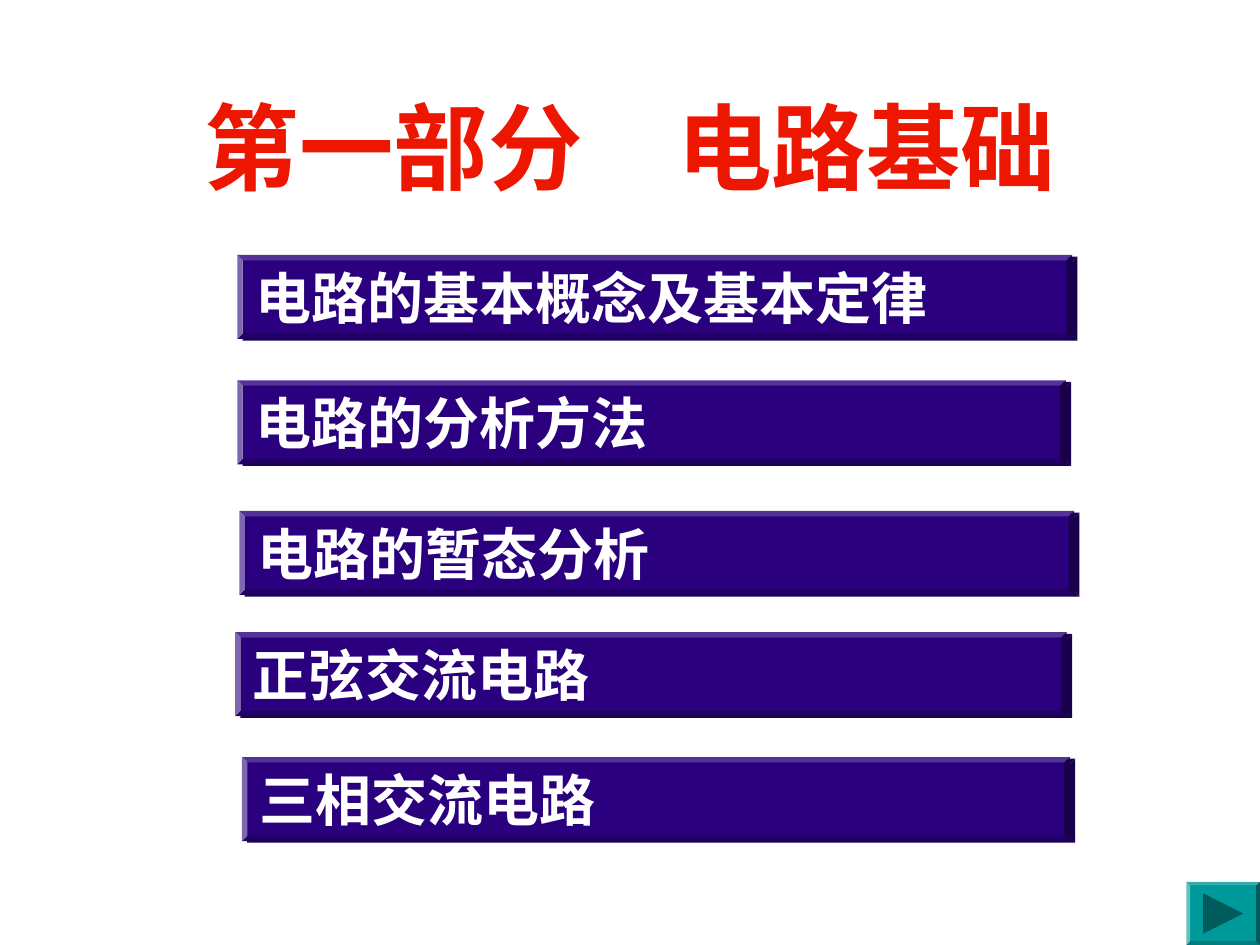
from dataclasses import dataclass

from lxml import etree
from pptx import Presentation
from pptx.dml.color import RGBColor
from pptx.enum.lang import MSO_LANGUAGE_ID
from pptx.enum.shapes import MSO_SHAPE
from pptx.enum.text import MSO_ANCHOR, MSO_AUTO_SIZE, PP_ALIGN
from pptx.oxml.ns import qn
from pptx.util import Pt

BEVEL, TRIANGLE = MSO_SHAPE.BEVEL, MSO_SHAPE.ISOSCELES_TRIANGLE
TOP, MIDDLE = MSO_ANCHOR.TOP, MSO_ANCHOR.MIDDLE
LEFT, CENTER = PP_ALIGN.LEFT, PP_ALIGN.CENTER
CHINESE = MSO_LANGUAGE_ID.SIMPLIFIED_CHINESE


@dataclass(frozen=True)
class Theme:
    font: str = "Times New Roman"
    heading: str = "ED1701"
    bar: str = "2A007E"
    bar_shadow: str = "19004C"
    bar_text: str = "FFFFFF"
    button: str = "009999"
    button_dark: str = "005C5C"
    heading_size: int = 54
    bar_size: int = 32


def write(shape, text, *, font, size, color, align=LEFT, anchor=MIDDLE):
    frame = shape.text_frame
    frame.auto_size = MSO_AUTO_SIZE.NONE
    frame.word_wrap = True
    frame.vertical_anchor = anchor
    paragraph = frame.paragraphs[0]
    paragraph.alignment = align
    run = paragraph.add_run()
    run.text = text
    run.font.name, run.font.size, run.font.bold = font, Pt(size), True
    run.font.color.rgb = RGBColor.from_string(color)
    run.font.language_id = CHINESE


class SlideBuilder:
    def __init__(self, slide, theme):
        self.slide, self.theme = slide, theme

    def title(self, text, left, top, width, height):
        heading = self.slide.shapes.title
        heading.left, heading.top = Pt(left), Pt(top)
        heading.width, heading.height = Pt(width), Pt(height)
        write(heading, text, font=self.theme.font, size=self.theme.heading_size,
              color=self.theme.heading, align=CENTER, anchor=TOP)

    def shape(self, kind, left, top, width, height, color):
        shape = self.slide.shapes.add_shape(
            kind, Pt(left), Pt(top), Pt(width), Pt(height))
        shape.fill.solid()
        shape.fill.fore_color.rgb = RGBColor.from_string(color)
        shape.line.fill.background()
        shape.shadow.inherit = False
        return shape

    def bevel(self, left, top, width, height, color, *, edge, shadow, distance, angle):
        block = self.shape(BEVEL, left, top, width, height, color)
        block.adjustments[0] = edge
        effects = block._element.spPr.find(qn("a:effectLst"))
        outer = etree.SubElement(effects, qn("a:outerShdw"), blurRad="0",
                                 dist=str(Pt(distance)), dir=str(angle * 60000),
                                 algn="tl", rotWithShape="0")
        etree.SubElement(outer, qn("a:srgbClr"), val=shadow)
        return block

    def topic(self, text, left, top, width, height):
        bar = self.bevel(left, top, width, height, self.theme.bar, edge=0.065,
                         shadow=self.theme.bar_shadow, distance=3.2, angle=18)
        write(bar, text, font=self.theme.font, size=self.theme.bar_size,
              color=self.theme.bar_text)

    def next_button(self, left, top, width, height, arrow_size):
        dark = self.theme.button_dark
        self.bevel(left, top, width, height, self.theme.button, edge=0.06,
                   shadow=dark, distance=1.4, angle=45)
        arrow = self.shape(TRIANGLE, left + (width - arrow_size) / 2,
                           top + (height - arrow_size) / 2,
                           arrow_size, arrow_size, dark)
        arrow.rotation = 90


presentation = Presentation()
presentation.slide_width, presentation.slide_height = Pt(720), Pt(540)
builder = SlideBuilder(
    presentation.slides.add_slide(presentation.slide_layouts[5]), Theme())

# Heading
builder.title("第一部分\u3000电路基础", 54, 47.5, 612, 90)

# Topics: text, left, top, width
TOPICS = [
    ("电路的基本概念及基本定律", 135.6, 145.7, 477),
    ("电路的分析方法", 135.6, 217.3, 473.5),
    ("电路的暂态分析", 136.8, 292, 477),
    ("正弦交流电路", 134.4, 361.2, 475.2),
    ("三相交流电路", 138.2, 432.6, 473.2),
]
for topic, left, top, width in TOPICS:
    builder.topic(topic, left, top, width, 48)

# Button to the next slide
builder.next_button(678, 504, 42, 36, 23)

presentation.save("out.pptx")
